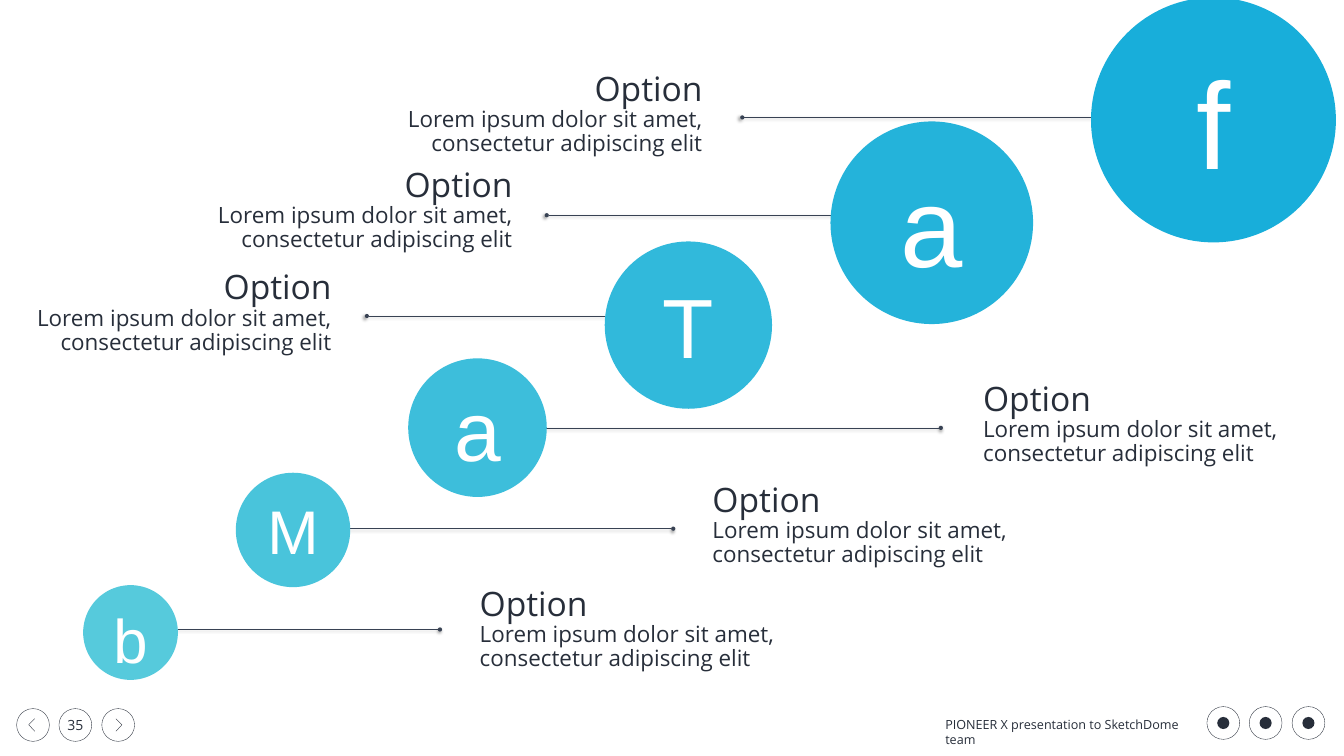
import pptx
import pptx.dml.color
import pptx.enum.shapes
import pptx.enum.text
import pptx.oxml
import pptx.oxml.ns
import pptx.util
from dataclasses import dataclass

Inches = pptx.util.Inches
Pt = pptx.util.Pt
RGB = pptx.dml.color.RGBColor.from_string
ALIGN = pptx.enum.text.PP_ALIGN
ANCHOR = pptx.enum.text.MSO_ANCHOR
OVAL = pptx.enum.shapes.MSO_SHAPE.OVAL
STRAIGHT = pptx.enum.shapes.MSO_CONNECTOR.STRAIGHT


@dataclass(frozen=True)
class Theme:
    font: str = "Open Sans"
    symbol_font: str = "Arial"
    ink: str = "272E3A"
    rule: str = "384253"
    white: str = "FFFFFF"
    blues: tuple = ("56CADC", "49C4DB", "3DBEDB", "31B9DB", "24B3DA", "18AEDA")
    heading: int = 48
    body: int = 32
    footer: int = 18
    number: int = 20
    symbols: tuple = (88, 88, 120, 120, 160, 176)


theme = Theme()


def add_circle(left, top, size, fill=None):
    shape = slide.shapes.add_shape(OVAL, Inches(left), Inches(top), Inches(size), Inches(size))
    shape.shadow.inherit = False
    if fill:
        shape.fill.solid()
        shape.fill.fore_color.rgb = RGB(fill)
        shape.line.fill.background()
    else:
        shape.fill.background()
        shape.line.color.rgb = RGB(theme.ink)
        shape.line.width = Pt(0.5)
    return shape


def add_run(paragraph, text, size, align, font=theme.font, color=theme.ink):
    paragraph.alignment = align
    run = paragraph.add_run()
    run.text = text
    run.font.name = font
    run.font.size = Pt(size)
    run.font.color.rgb = RGB(color)


presentation = pptx.Presentation()
presentation.slide_width = Inches(26.67)
presentation.slide_height = Inches(15)
slide = presentation.slides.add_slide(presentation.slide_layouts[6])

ring = 0.65
for left in (0.33, 1.17, 2.02):
    add_circle(left, 14.06, ring)
for outer, tip in ((0.69, 0.57), (2.3, 2.42)):
    builder = slide.shapes.build_freeform(Inches(outer), Inches(14.51))
    builder.add_line_segments(
        [(Inches(tip), Inches(14.38)), (Inches(outer), Inches(14.26))], close=False)
    chevron = builder.convert_to_shape()
    chevron.shadow.inherit = False
    chevron.fill.background()
    chevron.line.color.rgb = RGB(theme.ink)
    chevron.line.width = Pt(0.5)

page_number = slide.shapes.add_textbox(Inches(1.17), Inches(14.06), Inches(ring), Inches(ring))
page_number.text_frame.word_wrap = False
page_number.text_frame.vertical_anchor = ANCHOR.MIDDLE
add_run(page_number.text_frame.paragraphs[0], "35", theme.number, ALIGN.CENTER)

footer = slide.shapes.add_textbox(Inches(18.66), Inches(14.17), Inches(5.08), Inches(0.4))
footer.text_frame.word_wrap = True
add_run(footer.text_frame.paragraphs[0], "PIONEER X presentation to SketchDome team",
        theme.footer, ALIGN.LEFT)

dot = 0.24
for left in (23.95, 24.79, 25.64):
    add_circle(left, 14.02, ring)
    add_circle(left + (ring - dot) / 2, 14.02 + (ring - dot) / 2, dot, theme.ink)

# symbol, circle left, top, size, line y, line end, text left, text top, text alignment
options = (
    ("b", 1.65, 11.61, 1.88, 12.49, 8.73, 9.42, 11.61, ALIGN.LEFT),
    ("M", 4.68, 9.38, 2.27, 10.49, 13.36, 14.04, 9.55, ALIGN.LEFT),
    ("a", 8.1, 7.11, 2.75, 8.49, 18.67, 19.41, 7.54, ALIGN.LEFT),
    ("T", 12, 4.79, 3.32, 6.27, 7.28, 0.46, 5.33, ALIGN.RIGHT),
    ("a", 16.48, 2.41, 4.02, 4.27, 10.85, 4.05, 3.3, ALIGN.RIGHT),
    ("f", 21.65, -0.05, 4.86, 2.33, 14.73, 7.82, 1.39, ALIGN.RIGHT),
)
effect_xml = (
    f'<a:effectLst {pptx.oxml.ns.nsdecls("a")}>'
    '<a:outerShdw blurRad="50800" dist="38100" dir="8100000" algn="tr" rotWithShape="0">'
    '<a:srgbClr val="000000"><a:alpha val="40000"/></a:srgbClr>'
    '</a:outerShdw></a:effectLst>')

for option, blue, symbol_size in zip(options, theme.blues, theme.symbols):
    symbol, left, top, size, line_y, line_end, text_left, text_top, align = option

    connector = slide.shapes.add_connector(
        STRAIGHT, Inches(left + size / 2), Inches(line_y), Inches(line_end), Inches(line_y))
    connector.line.color.rgb = RGB(theme.rule)
    connector.line.width = Pt(0.75)
    line = connector.line._get_or_add_ln()
    for end in ("headEnd", "tailEnd"):
        line.append(pptx.oxml.parse_xml(
            f'<a:{end} {pptx.oxml.ns.nsdecls("a")} type="oval"/>'))
    connector._element.spPr.append(pptx.oxml.parse_xml(effect_xml))

    label = slide.shapes.add_textbox(
        Inches(text_left), Inches(text_top), Inches(6.22), Inches(1.78))
    label.text_frame.word_wrap = True
    heading = label.text_frame.paragraphs[0]
    body = label.text_frame.add_paragraph()
    heading.line_spacing = body.line_spacing = 0.89
    add_run(heading, "Option", theme.heading, align)
    add_run(body, "Lorem ipsum dolor sit amet, consectetur adipiscing elit", theme.body, align)

    circle = add_circle(left, top, size, blue)
    circle.text_frame.vertical_anchor = ANCHOR.TOP if symbol == "b" else ANCHOR.MIDDLE
    add_run(circle.text_frame.paragraphs[0], symbol, symbol_size, ALIGN.CENTER,
            theme.symbol_font, theme.white)

presentation.save("out.pptx")
